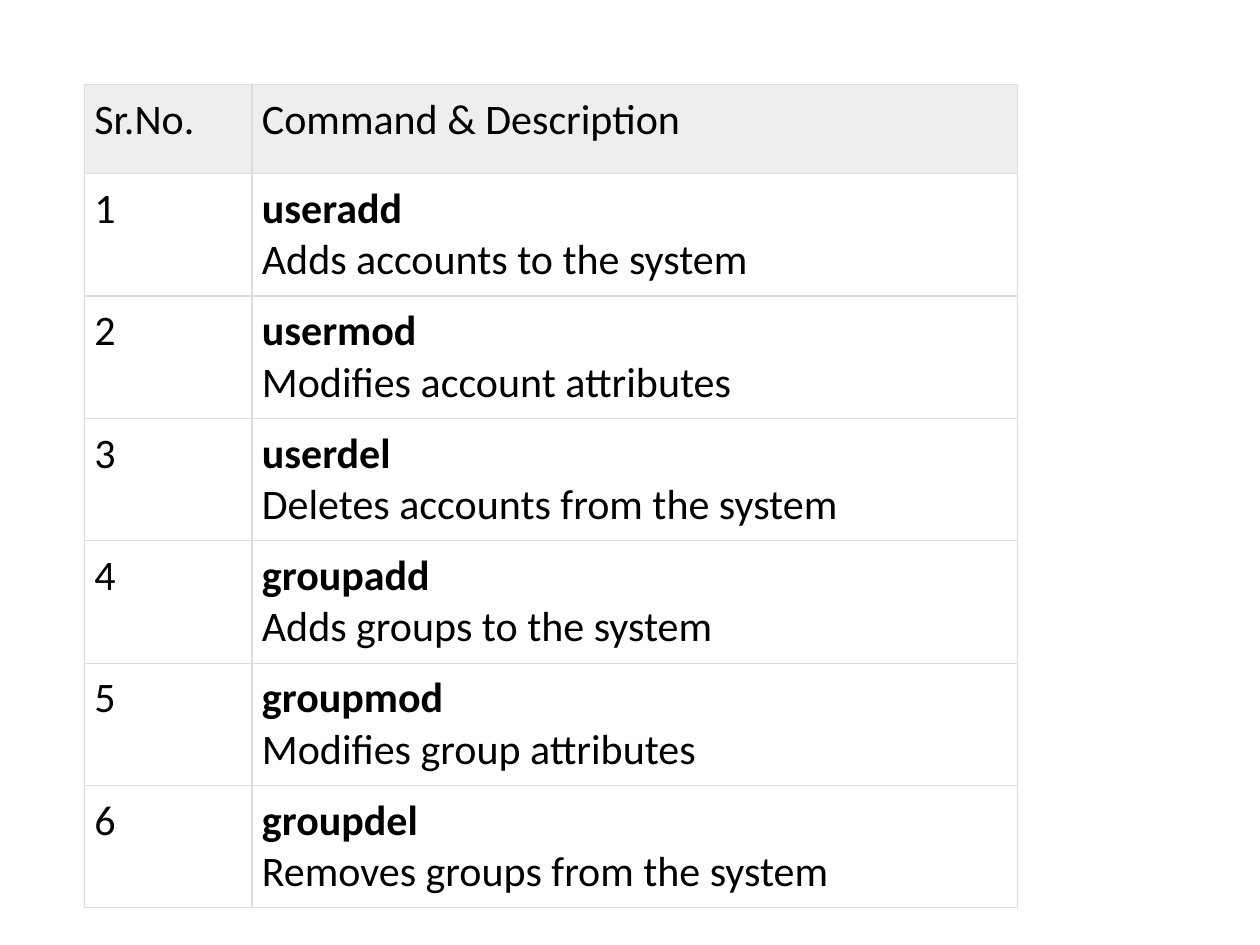
"""Build a slide with a table of user and group account commands."""
from lxml.etree import SubElement
from pptx import Presentation
from pptx.dml.color import RGBColor
from pptx.oxml.ns import qn
from pptx.util import Cm, Pt


def write(paragraph, text, size=24, bold=False, color="000000", font="Calibri"):
    run = paragraph.add_run()
    run.text = text
    run.font.name = font
    run.font.size = Pt(size)
    run.font.bold = bold
    run.font.color.rgb = RGBColor.from_string(color)


def add_borders(cell, color="DDDDDD", width=0.75):
    properties = cell._tc.get_or_add_tcPr()
    for position, side in enumerate(("lnL", "lnR", "lnT", "lnB")):
        line = SubElement(properties, qn(f"a:{side}"), w=str(Pt(width)))
        fill = SubElement(line, qn("a:solidFill"))
        SubElement(fill, qn("a:srgbClr"), val=color)
        properties.insert(position, line)


commands = [
    ("useradd", "Adds accounts to the system"),
    ("usermod", "Modifies account attributes"),
    ("userdel", "Deletes accounts from the system"),
    ("groupadd", "Adds groups to the system"),
    ("groupmod", "Modifies group attributes"),
    ("groupdel", "Removes groups from the system"),
]
rows = [(["Sr.No."], ["Command & Description"])]
rows += [([str(number)], command) for number, command in enumerate(commands, 1)]

presentation = Presentation()
presentation.slide_width = Cm(25.4)
presentation.slide_height = Cm(19.05)
slide = presentation.slides.add_slide(presentation.slide_layouts[6])

shape = slide.shapes.add_table(len(rows), 2, Cm(1.7), Cm(1.7), Cm(18.82), Cm(16.33))
table = shape.table
table.first_row = False
table.horz_banding = False
table.columns[0].width = Cm(3.38)
table.columns[1].width = Cm(15.44)

for row_index, row in enumerate(rows):
    table.rows[row_index].height = Cm(1.8)
    for column_index, lines in enumerate(row):
        cell = table.cell(row_index, column_index)
        cell.margin_left = cell.margin_right = Cm(0.2)
        cell.margin_top = cell.margin_bottom = Cm(0.2)
        if row_index == 0:
            cell.fill.solid()
            cell.fill.fore_color.rgb = RGBColor.from_string("EEEEEE")
        else:
            cell.fill.background()
        add_borders(cell)
        frame = cell.text_frame
        for line_index, text in enumerate(lines):
            paragraph = frame.add_paragraph() if line_index else frame.paragraphs[0]
            write(paragraph, text, bold=len(lines) > 1 and line_index == 0)

shape.height = Cm(16.33)
presentation.save("out.pptx")
